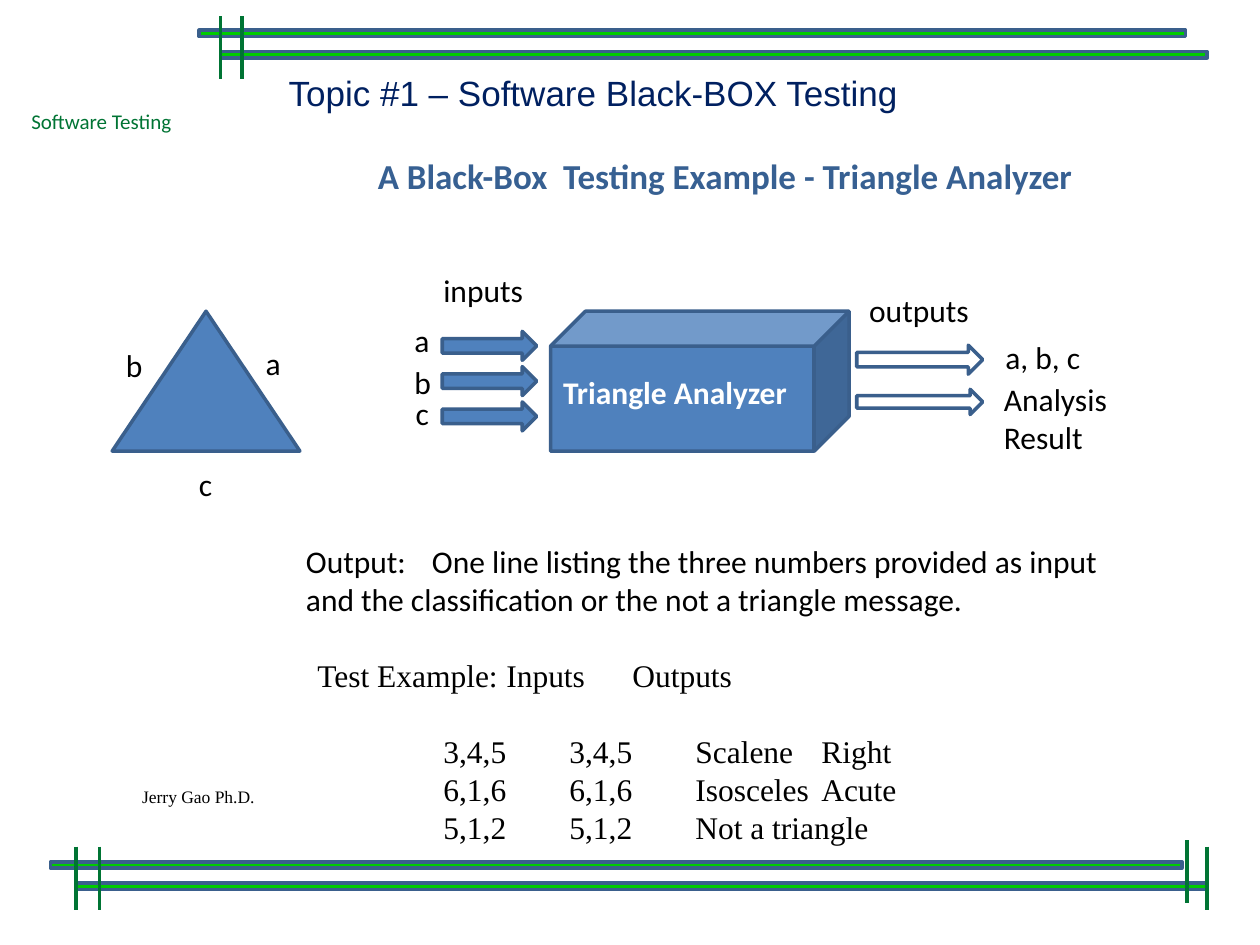
from lxml.etree import SubElement
from pptx import Presentation
from pptx.dml.color import RGBColor
from pptx.enum.shapes import MSO_CONNECTOR, MSO_SHAPE
from pptx.enum.text import MSO_ANCHOR, MSO_AUTO_SIZE, PP_ALIGN
from pptx.oxml.ns import qn
from pptx.util import Inches, Pt

COLUMNS, ROWS = 100, 75
CELL = Inches(0.1)
COLORS = {
    "bar": "00CC00",
    "post": "007434",
    "outline": "3A5F8C",
    "block": "4F81BD",
    "white": "FFFFFF",
    "black": "000000",
    "title": "002060",
    "heading": "376092",
}


def color(name):
    return RGBColor.from_string(COLORS[name])


def cells(*counts):
    return [round(count * CELL) for count in counts]


def write(frame, text, size=18, font="Calibri", fill="black", bold=False,
          wrap=False, grow=True, gaps=None):
    frame.word_wrap = wrap
    frame.auto_size = MSO_AUTO_SIZE.SHAPE_TO_FIT_TEXT if grow else MSO_AUTO_SIZE.NONE
    frame.vertical_anchor = MSO_ANCHOR.TOP
    for index, line in enumerate(text.split("\n")):
        para = frame.paragraphs[0] if index == 0 else frame.add_paragraph()
        para.alignment = PP_ALIGN.LEFT
        if gaps and index in gaps:
            para.space_before = Pt(gaps[index])
        span = para.add_run()
        span.text = line
        span.font.size = Pt(size)
        span.font.name = font
        span.font.bold = bold
        span.font.color.rgb = color(fill)


def add_text(page, text, left, top, width, height=4, **style):
    box = page.shapes.add_textbox(*cells(left, top, width, height))
    write(box.text_frame, text, **style)


def add_block(shapes, kind, left, top, width, height, fill="block"):
    block = shapes.add_shape(kind, *cells(left, top, width, height))
    block.shadow.inherit = False
    block.fill.solid()
    block.fill.fore_color.rgb = color(fill)
    block.line.color.rgb = color("outline")
    block.line.width = Pt(2)


def add_post(shapes, column, top, height=5):
    post = shapes.add_connector(
        MSO_CONNECTOR.STRAIGHT, *cells(column, top, column, top + height))
    post.line.color.rgb = color("post")
    post.line.width = Pt(2.25)
    SubElement(post._element.spPr, qn("a:effectLst"))


def add_rails(shapes, left, top, width, shift, posts):
    for step in range(2):
        add_block(shapes, MSO_SHAPE.FLOWCHART_PROCESS, left + step * shift,
                  top + step * 1.7, width, 0.5, fill="bar")
    for column, post_top in posts:
        add_post(shapes, column, post_top)


def add_title(page, text):
    title = page.shapes.title
    title.left, title.top, title.width, title.height = cells(21.9, 5.2, 58.6, 4.4)
    title.fill.solid()
    title.fill.fore_color.rgb = color("white")
    write(title.text_frame, text, size=20, font="Arial", fill="title",
          wrap=True, grow=False)


def add_triangle(page):
    add_block(page.shapes, MSO_SHAPE.ISOSCELES_TRIANGLE, 8.9, 24.7, 14.9, 11.1)
    for side, left, top, width in (("b", 9, 27, 3.4), ("a", 20.1, 26.8, 3.2),
                                   ("c", 14.8, 36.4, 3.1)):
        add_text(page, side, left, top, width)


def add_analyzer(page):
    add_block(page.shapes, MSO_SHAPE.CUBE, 43.7, 24.7, 23.7, 11.1)
    add_text(page, "Triangle Analyzer", 43.7, 29.1, 19.9, fill="white", bold=True)

    add_text(page, "inputs", 34.2, 21, 8.4)
    inputs = (("a", 31.9, 25, 3.2), ("b", 31.9, 28.3, 3.4), ("c", 32, 30.8, 3.1))
    for index, (side, left, top, width) in enumerate(inputs):
        add_block(page.shapes, MSO_SHAPE.RIGHT_ARROW, 35.1, 26.3 + index * 2.8, 7.5, 2.3)
        add_text(page, side, left, top, width)

    add_text(page, "outputs", 68, 22.6, 10)
    for top, height in ((27.4, 2.3), (30.9, 2)):
        add_block(page.shapes, MSO_SHAPE.RIGHT_ARROW, 68, top, 10, height, fill="white")
    add_text(page, "a, b, c", 78.8, 26.3, 8.1)
    add_text(page, "Analysis\nResult", 78.7, 29.7, 10.3, 7.1)


def add_explanation(page):
    add_text(page, "Output:\tOne line listing the three numbers provided as input "
             "and the classification or the not a triangle message.",
             23.3, 42.5, 66.8, 7.1, wrap=True)
    examples = ("Test Example:\tInputs\tOutputs",
                "\t\t3,4,5\t3,4,5\tScalene\tRight",
                "\t\t6,1,6\t6,1,6\tIsosceles\tAcute",
                "\t\t5,1,2\t5,1,2\tNot a triangle")
    add_text(page, "\n".join(examples), 24.2, 51.6, 58.9, 16.2,
             font="Times New Roman", wrap=True, gaps={1: 21.6})


def main():
    deck = Presentation()
    deck.slide_width, deck.slide_height = cells(COLUMNS, ROWS)
    page = deck.slides.add_slide(deck.slide_layouts[5])

    add_text(page, "Software Testing", 1.5, 8.1, 13.3, 3, size=12, fill="post")
    header = page.shapes.add_group_shape()
    add_rails(header.shapes, 15.8, 2.4, 78.3, 1.7, ((17.5, 1.3), (19.2, 1.3)))
    add_rails(page.shapes, 4, 68.4, 89.8, 2,
              ((6, 67.2), (7.9, 67.2), (95.8, 67.2), (94.2, 66.7)))
    add_title(page, "Topic #1 – Software Black-BOX Testing")
    add_text(page, "A Black-Box  Testing Example - Triangle Analyzer",
             29, 11.8, 57.7, 4.4, size=20, fill="heading", bold=True)
    add_triangle(page)
    add_analyzer(page)
    add_explanation(page)
    add_text(page, "Jerry Gao Ph.D.", 10.3, 61.9, 12.1, 2.7, size=10,
             font="Times New Roman", wrap=True)
    deck.save("out.pptx")


if __name__ == "__main__":
    main()
